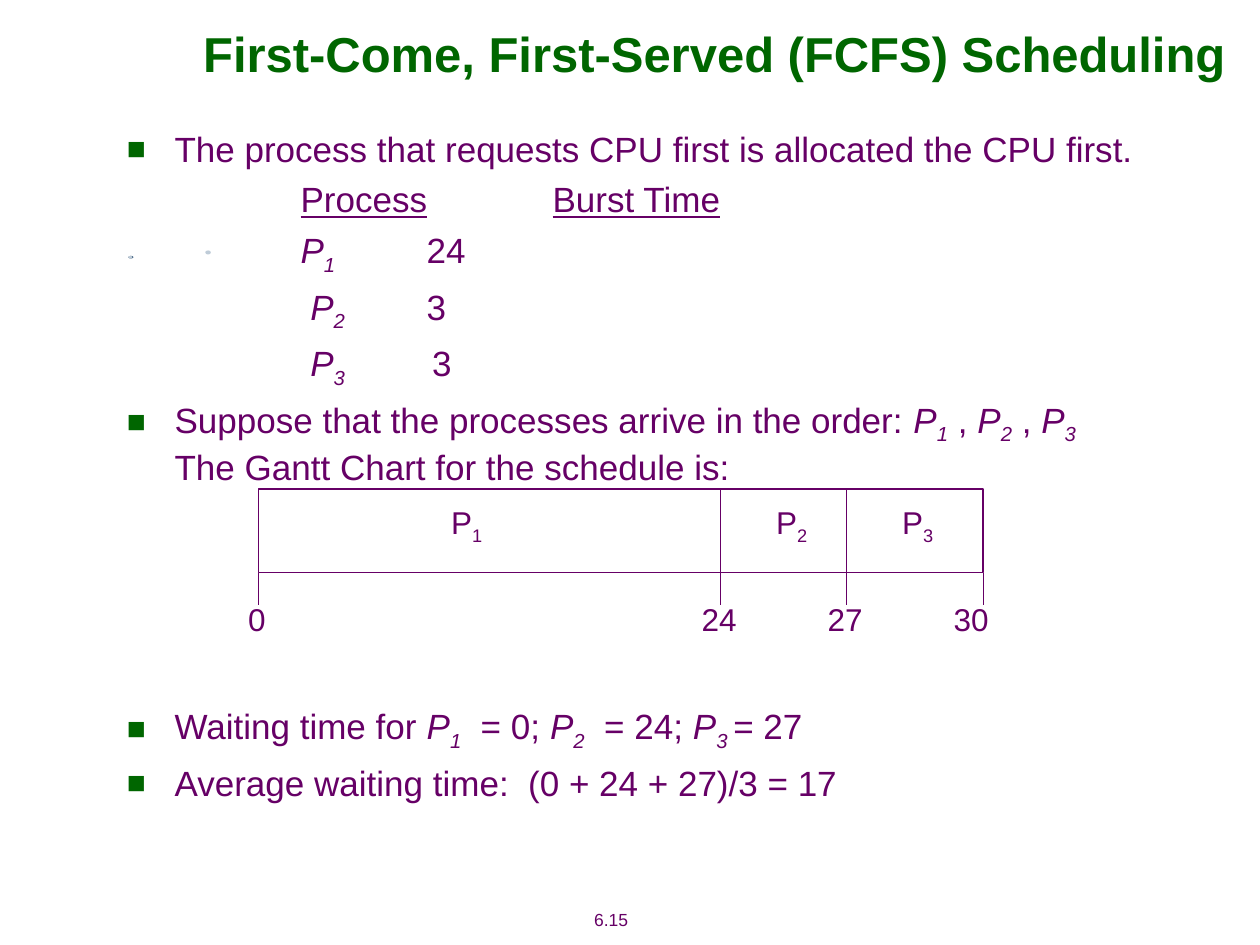
from lxml import etree
from pptx import Presentation
from pptx.dml.color import RGBColor
from pptx.enum.shapes import MSO_CONNECTOR, MSO_SHAPE
from pptx.enum.text import MSO_ANCHOR, PP_ALIGN
from pptx.oxml.ns import qn
from pptx.util import Cm, Pt

MIDDLE = MSO_ANCHOR.MIDDLE
CENTER = PP_ALIGN.CENTER
LINE = MSO_CONNECTOR.STRAIGHT
RECT = MSO_SHAPE.RECTANGLE
OVAL = MSO_SHAPE.OVAL
HEX = {"green": "006600", "plum": "660066", "white": "FFFFFF",
       "navy": "284C70", "mist": "BFCCD8"}
RGB = {name: RGBColor.from_string(code) for name, code in HEX.items()}


def write(para, parts, size, color="plum", bold=None):
    """Add (text, style) runs: i italic, s subscript, u underlined."""
    font = para.font
    font.name, font.size, font.bold = "Arial", Pt(size), bold
    font.color.rgb = RGB[color]
    for text, style in parts:
        if text == "\n":
            para.add_line_break()
            continue
        run = para.add_run()
        run.text = text
        if "i" in style:
            run.font.italic = True
        if "u" in style:
            run.font.underline = True
        if "s" in style:
            run.font._element.set("baseline", "-25000")


def label(mid, top, width, height, parts, size, color="plum", bold=None):
    """Add a one-line text box centred on mid."""
    box = slide.shapes.add_textbox(Cm(mid - width / 2), Cm(top),
                                   Cm(width), Cm(height))
    frame = box.text_frame
    frame.word_wrap = False
    frame.vertical_anchor = MIDDLE
    para = frame.paragraphs[0]
    para.alignment = CENTER
    write(para, parts, size, color, bold)


prs = Presentation()
prs.slide_width, prs.slide_height = Cm(25.4), Cm(19.05)
slide = prs.slides.add_slide(prs.slide_layouts[6])

# Specks at the left
for left, top, width, height, color in [
        (2.59, 5.16, 0.1, 0.05, "navy"),
        (2.59, 5.16, 0.08, 0.05, "mist"),
        (4.14, 5.05, 0.11, 0.08, "mist")]:
    speck = slide.shapes.add_shape(OVAL, Cm(left), Cm(top),
                                   Cm(width), Cm(height))
    speck.shadow.inherit = False
    speck.fill.solid()
    speck.fill.fore_color.rgb = RGB[color]
    speck.line.fill.background()

# Title and page number
label(14.4, 0.43, 23.16, 1.27,
      [("First-Come, First-Served (FCFS) Scheduling", "")], 28, "green", True)
label(12.32, 18.19, 2.39, 0.69, [("6.15", "")], 10)

# Gantt chart frame
left, right, top, base, foot = 5.21, 19.82, 9.86, 11.55, 12.19
bar = slide.shapes.add_shape(RECT, Cm(left), Cm(top),
                             Cm(right - left), Cm(base - top))
bar.shadow.inherit = False
bar.fill.solid()
bar.fill.fore_color.rgb = RGB["white"]
bar.line.color.rgb = RGB["plum"]
bar.line.width = Pt(0.75)

# Dividers and ticks
cuts = [14.53, 17.07]
spans = [(x, base, foot) for x in [left, *cuts, right]]
spans += [(x, top, base) for x in cuts]
for x, start, end in spans:
    tick = slide.shapes.add_connector(LINE, Cm(x), Cm(start), Cm(x), Cm(end))
    tick.line.color.rgb = RGB["plum"]
    tick.line.width = Pt(0.75)
    etree.SubElement(tick._element.spPr, qn("a:effectLst"))

# Process names and times
for num, mid in enumerate([9.41, 15.96, 18.5], 1):
    label(mid, 10.01, 1.14, 1.12, [("P", ""), (str(num), "s")], 18)
for time, mid, width in [("0", 5.18, 0.86), ("24", 14.5, 1.22),
                         ("27", 17.04, 1.22), ("30", 19.58, 1.22)]:
    label(mid, 11.96, width, 1.02, [(time, "")], 18)

# Body: bullet flag, space before, runs
body = [
    (True, 0, [("The process that requests CPU first is allocated "
                "the CPU first.", "")]),
    (False, 5, [("\t\t", ""), ("Process\tBurst Time", "u")]),
    (False, 5, [("\t\t", ""), ("P", "i"), ("1\t", "is"), ("24", "")]),
    (False, 5, [("\t\t ", ""), ("P", "i"), ("2\t", "is"), ("3", "")]),
    (False, 5, [("\t\t ", ""), ("P", "i"), ("3\t ", "is"), ("3", "")]),
    (True, 5, [("Suppose that the processes arrive in the order: ", ""),
               ("P", "i"), ("1", "is"), (" , ", ""),
               ("P", "i"), ("2", "is"), (" , ", ""),
               ("P", "i"), ("3", "is"), ("\n", ""),
               ("The Gantt Chart for the schedule is:", "")]),
    (True, 124, [("Waiting time for ", ""), ("P", "i"), ("1", "is"),
                 ("  = 0; ", ""), ("P", "i"), ("2", "is"),
                 ("  = 24; ", ""), ("P", "i"), ("3 ", "is"), ("= 27", "")]),
    (True, 5, [("Average waiting time:  (0 + 24 + 27)/3 = 17", "")]),
]
frame = slide.shapes.add_textbox(Cm(2.31), Cm(2.44),
                                 Cm(21.62), Cm(15.06)).text_frame
frame.word_wrap = True
for row, (dot, gap, parts) in enumerate(body):
    para = frame.add_paragraph() if row else frame.paragraphs[0]
    props = para._p.get_or_add_pPr()
    props.set("marL", str(Cm(0.96)))
    props.set("indent", str(-Cm(0.96)))
    props.set("defTabSz", str(Cm(2.54)))
    if dot:
        tint = etree.SubElement(props, qn("a:buClr"))
        etree.SubElement(tint, qn("a:srgbClr"), val=HEX["green"])
        etree.SubElement(props, qn("a:buSzPct"), val="90000")
        etree.SubElement(props, qn("a:buFont"), typeface="Arial")
        etree.SubElement(props, qn("a:buChar"), char="■")
    para.space_before = Pt(gap)
    write(para, parts, 20)

prs.save("out.pptx")
